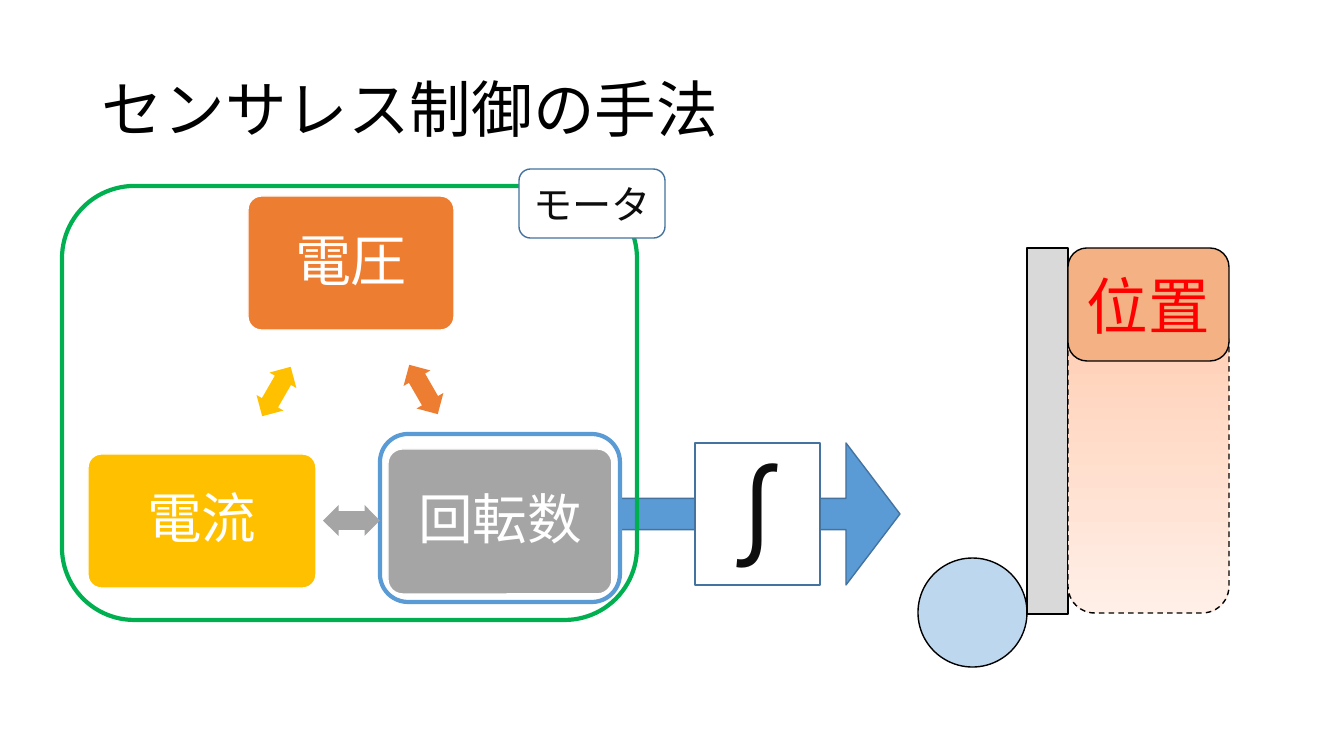
from lxml import etree
from pptx import Presentation
from pptx.dml.color import RGBColor
from pptx.enum.dml import MSO_LINE
from pptx.enum.shapes import MSO_SHAPE
from pptx.enum.text import MSO_ANCHOR, PP_ALIGN
from pptx.oxml.ns import qn
from pptx.util import Pt

PX = 914400 / 100.8
FONT = "Noto Sans CJK JP"
ROUND = MSO_SHAPE.ROUNDED_RECTANGLE
RECT = MSO_SHAPE.RECTANGLE
OVAL = MSO_SHAPE.OVAL
RIGHT = MSO_SHAPE.RIGHT_ARROW
DOUBLE = MSO_SHAPE.LEFT_RIGHT_ARROW
DASH = MSO_LINE.DASH
MIDDLE = MSO_ANCHOR.MIDDLE
LEFT, CENTER = PP_ALIGN.LEFT, PP_ALIGN.CENTER

WHITE = RGBColor(0xFF, 0xFF, 0xFF)
BLACK = RGBColor(0x00, 0x00, 0x00)
INK = RGBColor(0x0D, 0x0D, 0x0D)
RED = RGBColor(0xFF, 0x00, 0x00)
BLUE = RGBColor(0x5B, 0x9B, 0xD5)
DARK_BLUE = RGBColor(0x43, 0x73, 0x9E)
PALE_BLUE = RGBColor(0xBD, 0xD7, 0xEE)
ORANGE = RGBColor(0xED, 0x7D, 0x31)
PALE_ORANGE = RGBColor(0xF4, 0xB1, 0x83)
GRAY = RGBColor(0xA5, 0xA5, 0xA5)
PALE_GRAY = RGBColor(0xD9, 0xD9, 0xD9)
YELLOW = RGBColor(0xFF, 0xC0, 0x00)
GREEN = RGBColor(0x00, 0xB0, 0x50)
TRAIL = (RGBColor(0xFF, 0xCE, 0xB3), RGBColor(0xFF, 0xEF, 0xE7))

TITLE = "センサレス制御の手法"
TITLE_BOX = (92, 40, 1159, 146)

INTEGRAL_ARROW = [
    (RIGHT, (602, 443, 298, 142), BLUE, DARK_BLUE, {"adjust": (0.22, 0.38)}),
    (ROUND, (380, 434, 240, 168), WHITE, BLUE, {"width": 3}),
]
QUANTITIES = [
    ("電圧", 40, (248, 196, 206, 134), ORANGE, (395, 374, 57, 31), 60),
    ("回転数", 39, (388, 449, 224, 145), GRAY, (323, 505, 57, 31), 180),
    ("電流", 39, (88, 454, 228, 134), YELLOW, (248, 376, 57, 31), 300),
]
MECHANISM = [
    (RECT, (695, 443, 125, 142), WHITE, DARK_BLUE, {"text": ("∫", 80, INK)}),
    (OVAL, (918, 558, 109, 109), PALE_BLUE, BLACK, {}),
    (RECT, (1027, 248, 41, 366), PALE_GRAY, BLACK, {}),
    (ROUND, (1068, 317, 161, 296), TRAIL, BLACK, {"dash": DASH}),
    (ROUND, (1068, 248, 161, 113), PALE_ORANGE, BLACK, {"text": ("位置", 44, RED)}),
    (ROUND, (62, 186, 575, 434), None, GREEN, {"width": 3}),
    (ROUND, (519, 169, 146, 69), WHITE, DARK_BLUE, {"text": ("モータ", 28, INK)}),
]


def place(box):
    return [round(length * PX) for length in box]


def write(shape, text, size, color, alignment=CENTER, spacing=1.0, margin=0):
    frame = shape.text_frame
    frame_format = {"word_wrap": True, "vertical_anchor": MIDDLE,
                    "margin_left": round(margin * PX), "margin_right": round(margin * PX)}
    for name, value in frame_format.items():
        setattr(frame, name, value)
    paragraph = frame.paragraphs[0]
    for name, value in {"alignment": alignment, "line_spacing": spacing}.items():
        setattr(paragraph, name, value)
    run = paragraph.add_run()
    run.text = text
    for name, value in {"size": Pt(size), "name": FONT}.items():
        setattr(run.font, name, value)
    run.font.color.rgb = color
    etree.SubElement(run.font._element, qn("a:ea")).set("typeface", FONT)


def paint(fill, color):
    if color is None:
        fill.background()
    elif color is TRAIL:
        fill.gradient()
        fill.gradient_angle = 270
        for stop, stop_color in zip(fill.gradient_stops, TRAIL):
            stop.color.rgb = stop_color
    else:
        fill.solid()
        fill.fore_color.rgb = color


def draw(slide, kind, box, fill, line, adjust=(), width=1, dash=None,
         rotation=0, text=None, spacing=1.0):
    shape = slide.shapes.add_shape(kind, *place(box))
    shape.shadow.inherit = False
    shape.rotation = rotation
    for index, value in enumerate(adjust):
        shape.adjustments[index] = value
    paint(shape.fill, fill)
    paint(shape.line.fill, line)
    if line is not None:
        shape.line.width = Pt(width)
        shape.line.dash_style = dash
    if text:
        write(shape, *text, spacing=spacing)


def draw_all(slide, parts):
    for kind, box, fill, line, options in parts:
        draw(slide, kind, box, fill, line, **options)


def main():
    presentation = Presentation()
    presentation.slide_width, presentation.slide_height = place((1344, 756))
    slide = presentation.slides.add_slide(presentation.slide_layouts[6])

    draw_all(slide, INTEGRAL_ARROW)
    title = slide.shapes.add_textbox(*place(TITLE_BOX))
    write(title, TITLE, 44, BLACK, LEFT, 0.9, 10)
    for label, size, box, color, arrow_box, angle in QUANTITIES:
        draw(slide, ROUND, box, color, WHITE, adjust=(0.1,),
             text=(label, size, WHITE), spacing=0.9)
        draw(slide, DOUBLE, arrow_box, color, None, adjust=(0.6, 0.5), rotation=angle)
    draw_all(slide, MECHANISM)

    presentation.save("out.pptx")


if __name__ == "__main__":
    main()
